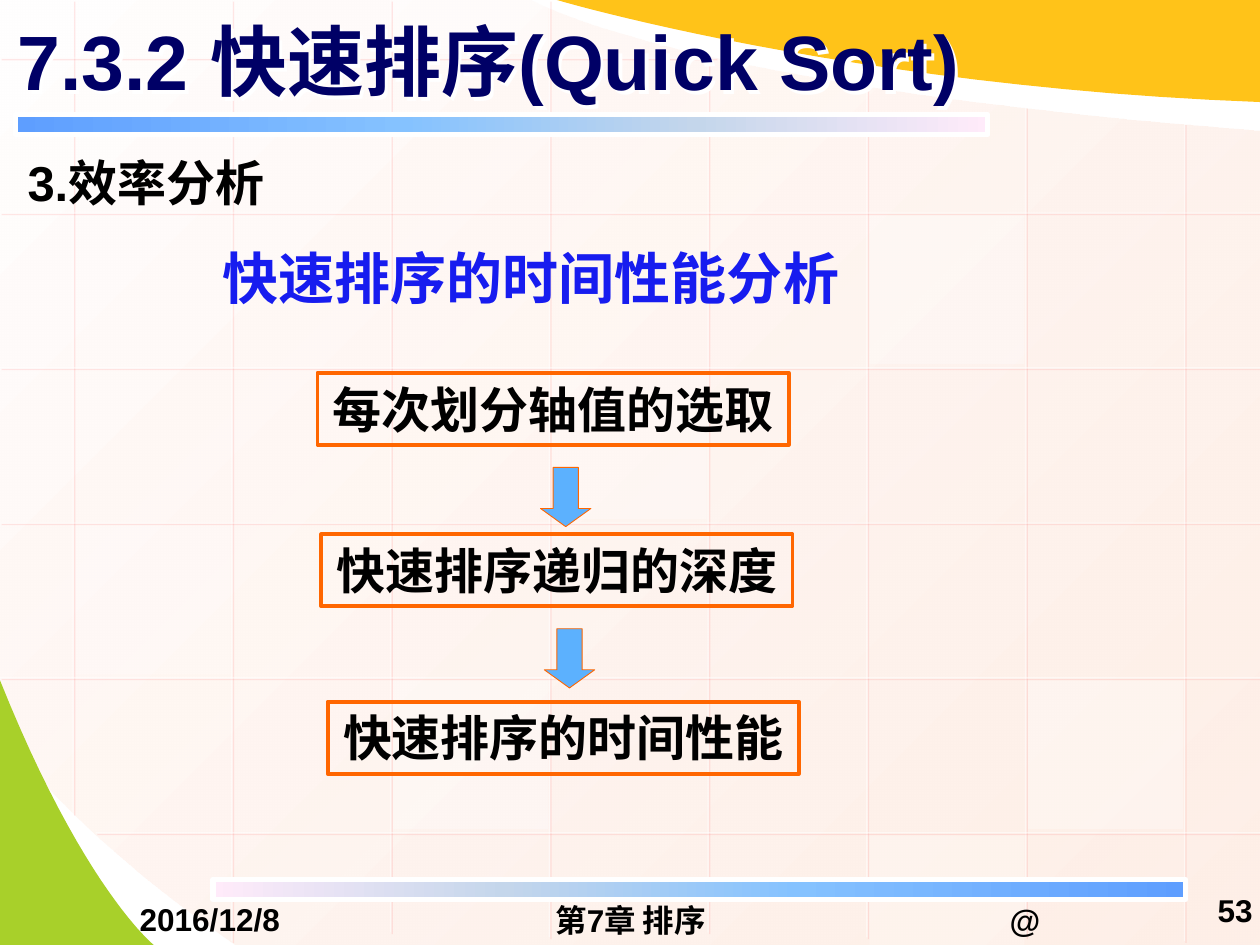
import dataclasses

import lxml.etree
import pptx
import pptx.dml.color
import pptx.enum.shapes
import pptx.enum.text
import pptx.oxml.ns
import pptx.util

Inches = pptx.util.Inches
Pt = pptx.util.Pt
SHAPE = pptx.enum.shapes.MSO_SHAPE
ALIGN = pptx.enum.text.PP_ALIGN
ANCHOR = pptx.enum.text.MSO_ANCHOR
qn = pptx.oxml.ns.qn


@dataclasses.dataclass(frozen=True)
class Theme:
    """Colours, fonts and type sizes of the slide."""
    white: str = "FFFFFF"
    ink: str = "000000"
    title: str = "000066"
    heading: str = "171CEF"
    orange: str = "FF6600"
    arrow: str = "5CB1FE"
    green: str = "A8D02A"
    yellow: str = "FFC319"
    grid_shadow: str = "FF7575"
    paper: tuple = ((0, "FFFEFE", 100), (100, "FEE9DE", 70))
    bar: tuple = ((0, "5E9EFF", 100), (40, "85C2FF", 100),
                  (70, "C4D6EB", 100), (100, "FFEBFA", 100))
    latin: str = "Arial"
    serif: str = "Times New Roman"
    cjk: str = "Noto Sans CJK SC"
    title_pt: int = 44
    heading_pt: int = 32
    body_pt: int = 28
    footer_pt: int = 18


@dataclasses.dataclass(frozen=True)
class Box:
    """A rectangle in inches."""
    x: float
    y: float
    w: float
    h: float

    def inner(self, dx, dy, w, h):
        """Return a box offset from this box's corner."""
        return Box(self.x + dx, self.y + dy, w, h)

    def emu(self):
        """Return the four lengths for a shape call."""
        return [Inches(v) for v in (self.x, self.y, self.w, self.h)]


THEME = Theme()


def rgb(value):
    """Turn a hex string into a colour."""
    return pptx.dml.color.RGBColor.from_string(value)


def add_color(parent, value, alpha=100):
    """Append a colour element with its opacity in percent."""
    clr = lxml.etree.SubElement(parent, qn("a:srgbClr"), val=value)
    if alpha < 100:
        lxml.etree.SubElement(clr, qn("a:alpha"), val=str(alpha * 1000))


def set_shadow(sp, value, alpha, distance):
    """Give a shape a diagonal shadow."""
    effects = lxml.etree.SubElement(sp._element.spPr, qn("a:effectLst"))
    shadow = lxml.etree.SubElement(effects, qn("a:outerShdw"),
                                   dist=str(Pt(distance)), dir="2700000")
    add_color(shadow, value, alpha)


def set_gradient(sp, stops, angle):
    """Replace the gradient stops of a shape."""
    sp.fill.gradient()
    sp.fill.gradient_angle = angle
    stop_list = sp._element.spPr.find(".//" + qn("a:gsLst"))
    for old in list(stop_list):
        stop_list.remove(old)
    for pos, value, alpha in stops:
        gs = lxml.etree.SubElement(stop_list, qn("a:gs"), pos=str(pos * 1000))
        add_color(gs, value, alpha)


def style(sp, fill=None, line=None, width=1, alpha=100):
    """Set plain fill and outline and drop the shadow."""
    sp.shadow.inherit = False
    if fill:
        sp.fill.solid()
        sp.fill.fore_color.rgb = rgb(fill)
        if alpha < 100:
            clr = sp._element.spPr.find(".//" + qn("a:srgbClr"))
            lxml.etree.SubElement(clr, qn("a:alpha"), val=str(alpha * 1000))
    else:
        sp.fill.background()
    if line:
        sp.line.color.rgb = rgb(line)
        sp.line.width = Pt(width)
    else:
        sp.line.fill.background()


def write(sp, text, size, color=THEME.ink, font=THEME.latin, align=ALIGN.LEFT,
          anchor=ANCHOR.TOP, wrap=True, pad=0.05, spacing=None):
    """Write one bold line into a shape."""
    tf = sp.text_frame
    tf.word_wrap = wrap
    tf.vertical_anchor = anchor
    tf.margin_left = tf.margin_right = Inches(0.1)
    tf.margin_top = tf.margin_bottom = Inches(pad)
    p = tf.paragraphs[0]
    p.alignment = align
    p.line_spacing = spacing
    r = p.add_run()
    r.text = text
    r.font.size, r.font.bold, r.font.name = Pt(size), True, font
    r.font.color.rgb = rgb(color)
    lxml.etree.SubElement(r._r.rPr, qn("a:ea"), typeface=THEME.cjk)


def curve(start, c1, c2, end, steps=24):
    """Return points along a cubic curve."""
    return [tuple((1 - t) ** 3 * a + 3 * (1 - t) ** 2 * t * b + 3 * (1 - t) * t * t * c + t ** 3 * d
                  for a, b, c, d in zip(start, c1, c2, end))
            for t in (i / steps for i in range(steps + 1))]


def add_outline(s, box, points):
    """Build a closed outline from points relative to a box."""
    pts = [(Inches(box.x + x), Inches(box.y + y)) for x, y in points]
    builder = s.shapes.build_freeform(*pts[0], scale=1.0)
    builder.add_line_segments(pts[1:], close=True)
    return builder.convert_to_shape()


def add_paper(s, box):
    """Place the tinted paper and the green corner."""
    paper = add_outline(s, box, [(box.w, box.h)]
                        + curve((1.87, 7.5), (0.55, 6.6), (0.01, 5.8), (0, 5.8)) + [(0, 0)]
                        + curve((4.21, 0), (4.21, 0), (5.37, 0.69), (box.w, 1.04)))
    style(paper)
    set_gradient(paper, THEME.paper, 315)
    corner = add_outline(s, box, [(0, box.h)]
                         + curve((1.22, 7.5), (1.22, 7.5), (0.66, 7.05), (0, 5.4)))
    style(corner, THEME.green)


def add_grid(s, box):
    """Place the grid lines, the pale tiles and the yellow sweep."""
    cols = [0.58 + 1.26 * i for i in range(8)]
    rows = [0.46 + 1.23 * i for i in range(6)]
    tops = (0, 0, 0, 0, 0.43, 0.68, 0.85, 0.98)
    bottoms = (6.46, 7.47, 7.4, 7.44, 7.4, 7.44, 7.44, 7.47)
    lines = [(x, top, x, bottom) for x, top, bottom in zip(cols, tops, bottoms)]
    lines += [(0.76 if y == rows[-1] else 0, y, 5.68 if y == rows[0] else box.w, y) for y in rows]
    for x1, y1, x2, y2 in lines:
        line = s.shapes.add_connector(
            pptx.enum.shapes.MSO_CONNECTOR.STRAIGHT, Inches(box.x + x1), Inches(box.y + y1),
            Inches(box.x + x2), Inches(box.y + y2))
        line.line.color.rgb = rgb(THEME.white)
        line.line.width = Pt(0.75)
        clr = line._element.spPr.find(".//" + qn("a:srgbClr"))
        lxml.etree.SubElement(clr, qn("a:alpha"), val="50000")
        set_shadow(line, THEME.grid_shadow, 33, 1.4)
    for col, row, alpha in ((3, 2, 25), (6, 4, 30), (0, 3, 20), (5, 5, 20),
                            (2, -1, 40), (2, 4, 30), (5, 1, 30)):
        y = rows[0] + 1.23 * row + 0.02
        top, bottom = max(0, y), min(box.h, y + 1.18)
        tile = box.inner(cols[col] + 0.02, top, 1.23, bottom - top)
        style(s.shapes.add_shape(SHAPE.RECTANGLE, *tile.emu()), THEME.white, alpha=alpha)
    sweep = add_outline(s, box, [(box.w, 0)]
                        + curve((4.42, 0), (4.42, 0), (6.74, 0.69), (box.w, 0.81)))
    style(sweep, THEME.yellow)


def add_bar(s, box, angle):
    """Place a gradient rule with a white edge."""
    bar = s.shapes.add_shape(SHAPE.RECTANGLE, *box.emu())
    style(bar, line=THEME.white, width=3)
    set_gradient(bar, THEME.bar, angle)


def add_text(s, box, text, size, **options):
    """Place a text box."""
    sp = s.shapes.add_textbox(*box.emu())
    write(sp, text, size, **options)
    return sp


def add_header(s, box):
    """Place the title with its rule."""
    add_bar(s, box.inner(0.08, 0.94, 7.72, 0.16), 0)
    title = add_text(s, box.inner(0, 0, 9, 1.01), "7.3.2 快速排序(Quick Sort)", THEME.title_pt,
                     color=THEME.title, anchor=ANCHOR.MIDDLE)
    set_shadow(title, THEME.white, 100, 2.8)


def add_footer(s, box):
    """Place the rule, date, chapter, mark and page number."""
    add_bar(s, box.inner(1.69, 0, 7.72, 0.16), 180)
    for text, x, y, w in (("2016/12/8", 0.5, 0.16, 2.33), ("第7章 排序", 3.42, 0.17, 3.17),
                          ("@", 6.97, 0.17, 2.33)):
        add_text(s, box.inner(x, y, w, 0.3), text, THEME.footer_pt,
                 align=ALIGN.CENTER, anchor=ANCHOR.MIDDLE, pad=0)
    add_text(s, box.inner(9.38, 0, 0.66, 0.49), "53", THEME.footer_pt,
             align=ALIGN.RIGHT, anchor=ANCHOR.MIDDLE)


def add_analysis(s, box):
    """Place the section line, the heading and the chain of steps."""
    add_text(s, box, "3.效率分析", THEME.body_pt, spacing=1.2)
    add_text(s, box.inner(1.55, 0.81, 5.75, 0.63), "快速排序的时间性能分析", THEME.heading_pt,
             color=THEME.heading, font=THEME.serif)
    steps = (("每次划分轴值的选取", 2.4, 1.89), ("快速排序递归的深度", 2.43, 3.17),
             ("快速排序的时间性能", 2.48, 4.5))
    for i, (text, x, y) in enumerate(steps):
        step = s.shapes.add_shape(SHAPE.RECTANGLE, *box.inner(x, y, 3.74, 0.57).emu())
        style(step, line=THEME.orange, width=2.25)
        write(step, text, THEME.body_pt, font=THEME.cjk, align=ALIGN.CENTER, wrap=False)
        if i < len(steps) - 1:
            arrow = s.shapes.add_shape(SHAPE.DOWN_ARROW,
                                       *box.inner(x + 1.77, y + 0.75, 0.4, 0.47).emu())
            arrow.adjustments[0], arrow.adjustments[1] = 0.5, 0.36
            style(arrow, THEME.arrow, THEME.orange, 0.5)


def main():
    """Build and save the slide."""
    prs = pptx.Presentation()
    page = Box(0, 0, 10, 7.5)
    prs.slide_width, prs.slide_height = Inches(page.w), Inches(page.h)
    s = prs.slides.add_slide(prs.slide_layouts[6])
    add_paper(s, page)
    add_grid(s, page)
    add_header(s, page.inner(0.04, -0.03, 9, 1.13))
    add_footer(s, page.inner(0, 6.98, 10, 0.52))
    add_analysis(s, page.inner(0.12, 1.07, 9.69, 5.75))
    prs.save("out.pptx")


if __name__ == "__main__":
    main()
